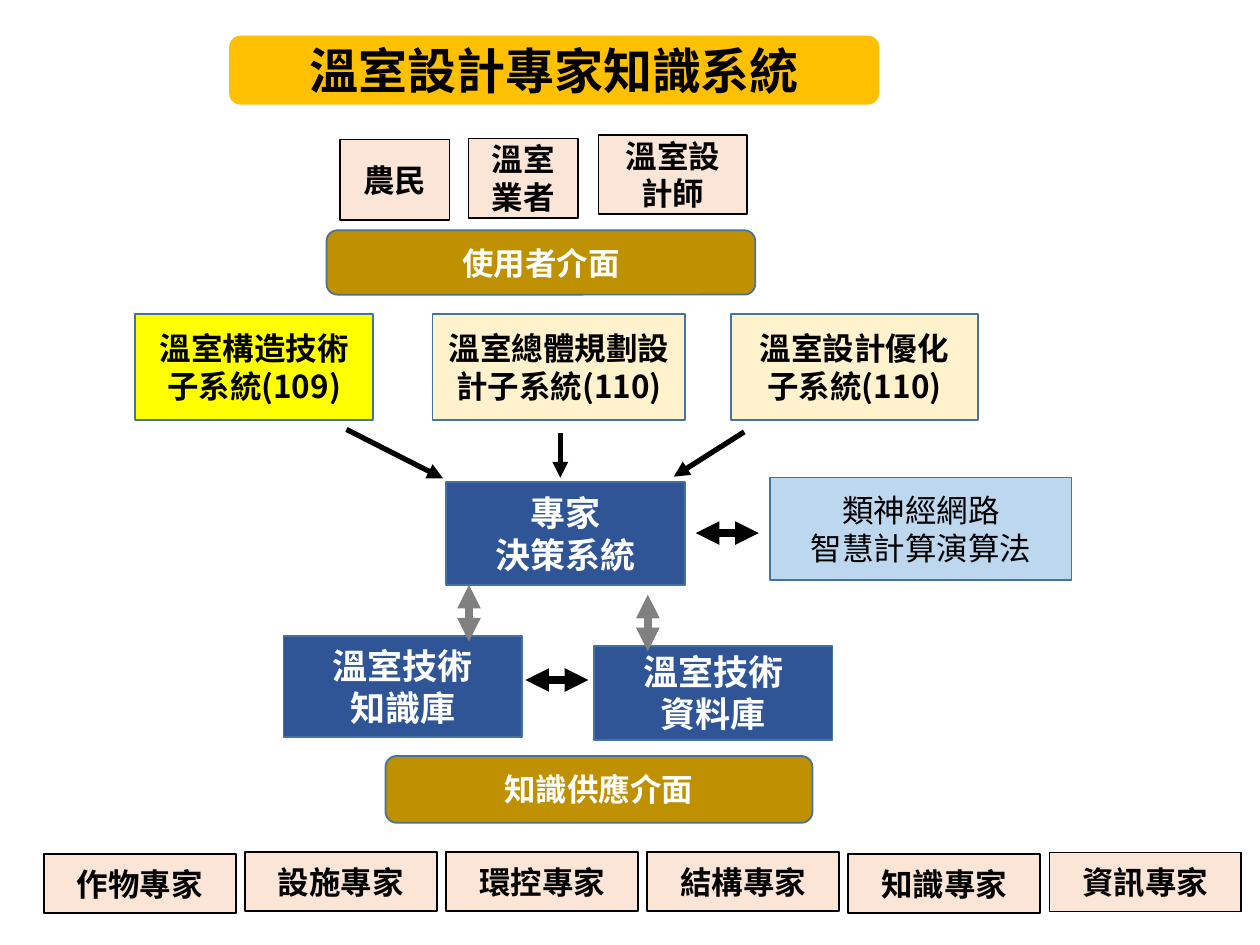
from dataclasses import dataclass

from lxml import etree
from pptx import Presentation
from pptx.dml.color import RGBColor
from pptx.enum.shapes import MSO_CONNECTOR, MSO_SHAPE
from pptx.enum.text import MSO_ANCHOR, PP_ALIGN
from pptx.oxml.ns import qn
from pptx.util import Pt

RECT = MSO_SHAPE.RECTANGLE
ROUND = MSO_SHAPE.ROUNDED_RECTANGLE
LINE = MSO_CONNECTOR.STRAIGHT
MIDDLE = MSO_ANCHOR.MIDDLE
CENTER = PP_ALIGN.CENTER


@dataclass(frozen=True)
class Theme:
    """Colours, fonts and type sizes of the slide."""
    black: str = "000000"
    white: str = "FFFFFF"
    gray: str = "808080"
    edge: str = "43739E"
    amber: str = "FFC000"
    gold: str = "BF9000"
    peach: str = "FBE5D6"
    cream: str = "FFF2CC"
    yellow: str = "FFFF00"
    navy: str = "2F5597"
    sky: str = "BDD7EE"
    latin: str = "Calibri"
    asian: str = "Noto Sans CJK SC"
    title: int = 28
    core: int = 20
    body: int = 18


THEME = Theme()


def paint(color):
    """Turn a hex string into a colour."""
    return RGBColor.from_string(color)


def write(frame, lines, size, color, bold, face):
    """Write centred lines, one paragraph each."""
    frame.word_wrap = True
    frame.vertical_anchor = MIDDLE
    for i, line in enumerate(lines):
        para = frame.paragraphs[0] if i == 0 else frame.add_paragraph()
        para.alignment = CENTER
        run = para.add_run()
        run.text = line
        font = run.font
        font.size = Pt(size)
        font.bold = bold
        font.color.rgb = paint(color)
        font.name = face
        etree.SubElement(font._element, qn("a:ea"), typeface=THEME.asian)


def box(slide, area, lines, fill, color=THEME.black, edge=THEME.edge,
        size=THEME.body, kind=RECT, bold=True, face=THEME.asian):
    """Add a filled box with centred text."""
    shape = slide.shapes.add_shape(kind, *map(Pt, area))
    shape.shadow.inherit = False
    shape.fill.solid()
    shape.fill.fore_color.rgb = paint(fill)
    if edge:
        shape.line.color.rgb = paint(edge)
        shape.line.width = Pt(1)
    else:
        shape.line.fill.background()
    write(shape.text_frame, lines, size, color, bold, face)


def arrow(slide, ends, color=THEME.black, width=3, both=False):
    """Add an arrow with one head or two."""
    link = slide.shapes.add_connector(LINE, *map(Pt, ends))
    link.line.color.rgb = paint(color)
    link.line.width = Pt(width)
    tips = ("a:headEnd", "a:tailEnd") if both else ("a:tailEnd",)
    for tip in tips:
        etree.SubElement(link.line._ln, qn(tip), type="triangle")
    etree.SubElement(link._element.spPr, qn("a:effectLst"))


def main():
    """Build the slide and save it."""
    deck = Presentation()
    deck.slide_width, deck.slide_height = Pt(720), Pt(540)
    slide = deck.slides.add_slide(deck.slide_layouts[6])

    box(slide, (131, 20.4, 371.5, 39.4), ["溫室設計專家知識系統"], THEME.amber,
        edge=None, size=THEME.title, kind=ROUND, face=THEME.latin)

    users = [("農民", (194.4, 79.7, 62.6, 46)),
             ("溫室業者", (267.8, 79.2, 62.6, 45.4)),
             ("溫室設計師", (342, 77, 85, 45.4))]
    for name, area in users:
        box(slide, area, [name], THEME.peach, edge=THEME.black)

    experts = [("作物專家", 488), ("設施專家", 486.8), ("環控專家", 486.8),
               ("結構專家", 486.8), ("知識專家", 488), ("資訊專家", 487.2)]
    for i, (name, top) in enumerate(experts):
        box(slide, (25.2 + 114.9 * i, top, 109.6, 33.8), [name], THEME.peach,
            edge=THEME.black)

    bars = [("使用者介面", (186.6, 131.6, 245, 36.8)),
            ("知識供應介面", (220.3, 432, 244, 38.2))]
    for name, area in bars:
        box(slide, area, [name], THEME.gold, THEME.white, kind=ROUND)

    parts = [(77, 136.4, THEME.yellow, ["溫室構造技術子系統(109)"]),
             (247.2, 144.4, THEME.cream, ["溫室總體規劃設計子系統(110)"]),
             (417.6, 141.4, THEME.cream, ["溫室設計優化", "子系統(110)"])]
    for left, width, fill, lines in parts:
        box(slide, (left, 179.4, width, 60.8), lines, fill)

    cores = [(162, 363.4, 58, ["溫室技術", "知識庫"]),
             (339.4, 369, 53.8, ["溫室技術", "資料庫"]),
             (255, 275.4, 59, ["專家", "決策系統"])]
    for left, top, height, lines in cores:
        box(slide, (left, top, 136.4, height), lines, THEME.navy, THEME.white,
            size=THEME.core)

    box(slide, (440, 272.8, 172.4, 58.6), ["類神經網路", "智慧計算演算法"],
        THEME.sky, bold=False)

    for ends in [(198, 245.4, 253.2, 273.4), (320.2, 247.4, 320.2, 273),
                 (425.3, 246.8, 385, 272.4)]:
        arrow(slide, ends)
    for color, ends in [(THEME.gray, (268, 334.2, 268, 366.6)),
                        (THEME.gray, (370.2, 339.8, 370.2, 372.2)),
                        (THEME.black, (300.2, 388.6, 336.2, 388.6)),
                        (THEME.black, (397.6, 304.6, 433.6, 304.6))]:
        arrow(slide, ends, color, 4.5, True)

    deck.save("out.pptx")


if __name__ == "__main__":
    main()
